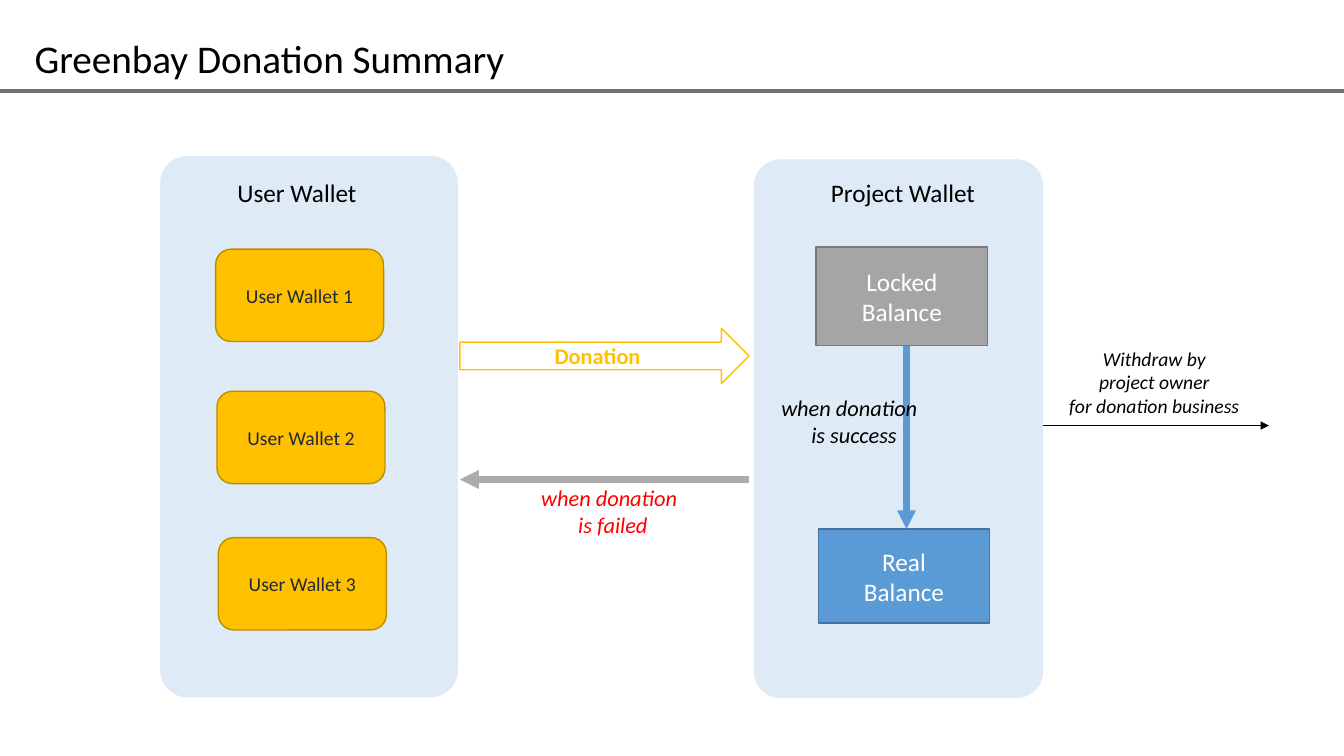
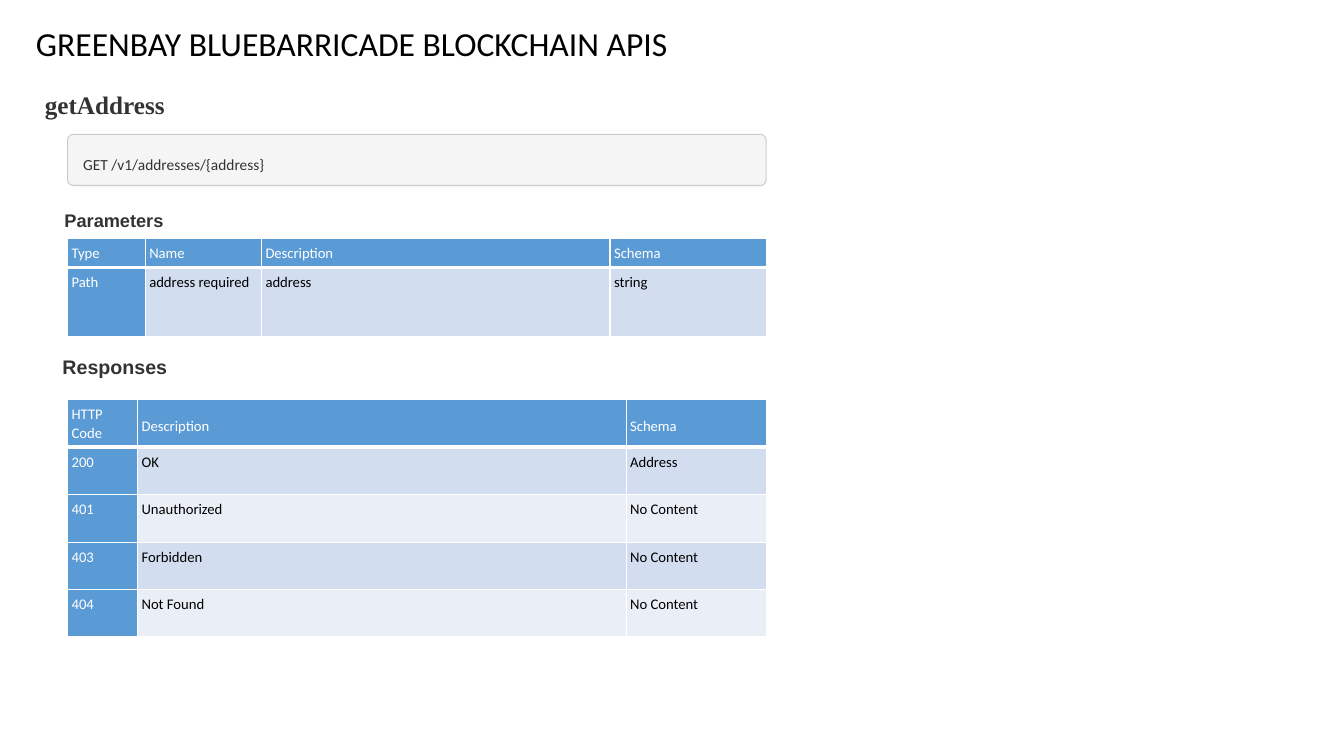
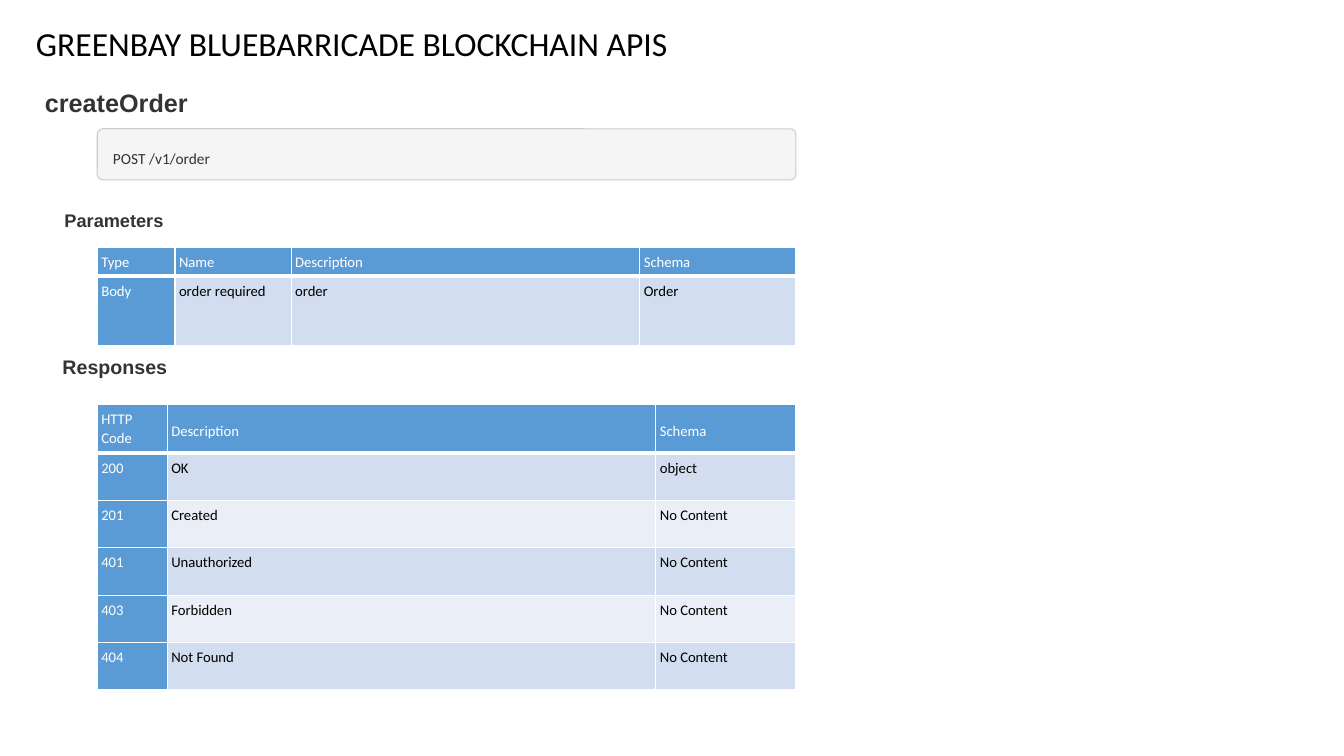
from pptx import Presentation
from pptx.dml.color import RGBColor
from pptx.enum.shapes import MSO_CONNECTOR, MSO_SHAPE
from pptx.enum.text import MSO_ANCHOR, MSO_AUTO_SIZE, PP_ALIGN
from pptx.oxml.ns import qn
from pptx.util import Pt
from lxml import etree

LEFT, CENTER = PP_ALIGN.LEFT, PP_ALIGN.CENTER
TOP, MIDDLE = MSO_ANCHOR.TOP, MSO_ANCHOR.MIDDLE
RECT, ROUNDED = MSO_SHAPE.RECTANGLE, MSO_SHAPE.ROUNDED_RECTANGLE
RIGHT_ARROW = MSO_SHAPE.RIGHT_ARROW
STRAIGHT = MSO_CONNECTOR.STRAIGHT
NO_FIT = MSO_AUTO_SIZE.NONE

TITLE_ONLY = 5
SLIDE_W, SLIDE_H = 960, 540
FONT = "Calibri"
COLORS = {
    "black": "000000", "white": "FFFFFF", "red": "FF0000",
    "rule": "767171", "panel": "DEEBF7", "navy": "222A35",
    "gold": "FFC000", "gold_line": "BD8E00",
    "gray": "A5A5A5", "gray_line": "7A7A7A", "gray_arrow": "AFABAB",
    "blue": "5B9BD5", "blue_line": "43739E",
    "band_dark": "D2DEEF", "band_light": "EAEFF7",
    "heading": "333333", "code_fill": "F5F5F5", "code_line": "CCCCCC",
}
API_TITLE = "GREENBAY BLUEBARRICADE BLOCKCHAIN APIS"
PARAM_HEAD = ("Type", "Name", "Description", "Schema")
PARAM_COLS = (55.5, 83, 249, 111.5)
RESPONSE_HEAD = ("HTTP Code", "Description", "Schema")
RESPONSE_COLS = (50, 349, 100)
TABLE_W = sum(RESPONSE_COLS)


def rgb(name):
    return RGBColor.from_string(COLORS[name])


# Text and shape helpers
def write(tf, lines, color, size, aligns=CENTER, anchor=TOP, wrap=True,
          spacing=None, font=FONT, **style):
    """Fill a text frame, one paragraph per line."""
    frame = {"word_wrap": wrap, "auto_size": NO_FIT, "vertical_anchor": anchor}
    for key, value in frame.items():
        setattr(tf, key, value)
    if not isinstance(aligns, tuple):
        aligns = (aligns,) * len(lines)
    for i, (line, align) in enumerate(zip(lines, aligns)):
        p = tf.paragraphs[0] if i == 0 else tf.add_paragraph()
        p.alignment = align
        if spacing:
            p.line_spacing = spacing
        r = p.add_run()
        r.text = line
        r.font.color.rgb = rgb(color)
        for key, value in {"name": font, "size": Pt(size), **style}.items():
            setattr(r.font, key, value)


def set_margins(target, left, top, right, bottom):
    margins = {"left": left, "top": top, "right": right, "bottom": bottom}
    for side, value in margins.items():
        setattr(target, f"margin_{side}", Pt(value))


def add_text(s, box, lines, color, size, **fmt):
    sp = s.shapes.add_textbox(*map(Pt, box))
    write(sp.text_frame, lines, color, size, **fmt)


def add_box(s, kind, box, fill, line, width=1, adj=None):
    sp = s.shapes.add_shape(kind, *map(Pt, box))
    sp.shadow.inherit = False
    sp.fill.solid()
    sp.fill.fore_color.rgb = rgb(fill)
    sp.line.color.rgb = rgb(line)
    sp.line.width = Pt(width)
    if adj is not None:
        sp.adjustments[0] = adj
    return sp


def add_line(s, start, end, color, width, arrow=True):
    line = s.shapes.add_connector(STRAIGHT, *map(Pt, (*start, *end)))
    line.line.color.rgb = rgb(color)
    line.line.width = Pt(width)
    sp_pr = line._element.spPr
    if arrow:
        etree.SubElement(sp_pr.find(qn("a:ln")), qn("a:tailEnd"), type="triangle")
    etree.SubElement(sp_pr, qn("a:effectLst"))


def add_titled_slide(prs, title, box, size):
    s = prs.slides.add_slide(prs.slide_layouts[TITLE_ONLY])
    sp = s.shapes.title
    sp.left, sp.top, sp.width, sp.height = map(Pt, box)
    write(sp.text_frame, [title], "black", size, aligns=LEFT, wrap=False)
    return s


# Donation summary regions
def add_panel(s, box, label, label_dy, label_w):
    x, y, _, _ = box
    add_box(s, ROUNDED, box, "panel", "panel", 0.25, adj=0.092)
    add_text(s, (x + 48, y + label_dy, label_w, 29), [label], "black", 18,
             aligns=LEFT, wrap=False)


def add_user_panel(s, box):
    x, y, _, _ = box
    add_panel(s, box, "User Wallet", 11.5, 100)
    for i, dy in enumerate((66.5, 168, 272.5)):
        sp = add_box(s, ROUNDED, (x + 39.5 + i, y + dy, 120, 66),
                     "gold", "gold_line")
        write(sp.text_frame, [f"User Wallet {i + 1}"], "navy", 14, anchor=MIDDLE)


def add_project_panel(s, box):
    x, y, _, _ = box
    add_panel(s, box, "Project Wallet", 9, 118)
    balances = (("Locked", 44.5, 62.5, 70.5, "gray"),
                ("Real", 46, 264, 67, "blue"))
    for state, dx, dy, h, color in balances:
        sp = add_box(s, RECT, (x + dx, y + dy, 122.5, h), color, f"{color}_line")
        write(sp.text_frame, [state, "Balance"], "white", 18, anchor=MIDDLE)
    add_line(s, (x + 109, y + 133), (x + 109, y + 264), "blue", 4.5)
    add_text(s, (x + 12.5, y + 164, 118, 46), ["when donation", "is success"],
             "black", 16, aligns=(LEFT, CENTER), italic=True)


def add_donation_flows(s, box):
    """Donation arrow and refund arrow between the two panels."""
    x, y, w, h = box
    sp = add_box(s, RIGHT_ARROW, (x, y, w, 39.5), "white", "gold")
    write(sp.text_frame, ["Donation"], "gold", 16, anchor=MIDDLE, bold=True)
    refund_y = y + h - 46
    add_line(s, (x + w, refund_y), (x, refund_y), "gray_arrow", 4.5)
    add_text(s, (x + 51, refund_y, 116.5, 46), ["when donation", "is failed"],
             "red", 16, aligns=(LEFT, CENTER), wrap=False, italic=True)


def add_withdrawal(s, box):
    x, y, w, h = box
    add_line(s, (x, y + h), (x + w, y + h), "black", 1)
    add_text(s, (x, y, 159, 58),
             ["Withdraw by", "project owner", "for donation business"],
             "black", 14, italic=True)


def add_summary_slide(prs):
    s = add_titled_slide(prs, "Greenbay Donation Summary",
                         (17.5, 21, 353.5, 41), 28)
    add_line(s, (0, 65), (SLIDE_W, 65), "rule", 2.25, arrow=False)
    add_user_panel(s, (114.5, 111.5, 212.5, 386.5))
    add_project_panel(s, (538.5, 114, 206.5, 384.5))
    add_donation_flows(s, (328.5, 234.5, 206.5, 154))
    add_withdrawal(s, (745, 244, 161.5, 60))


# API reference regions
def add_borders(cell, bottom):
    tc_pr = cell._tc.get_or_add_tcPr()
    for side, width in (("L", 1), ("R", 1), ("T", 1), ("B", bottom)):
        ln = etree.SubElement(tc_pr, qn(f"a:ln{side}"), w=str(Pt(width)))
        fill = etree.SubElement(ln, qn("a:solidFill"))
        etree.SubElement(fill, qn("a:srgbClr"), val=COLORS["white"])


def add_api_table(s, x, y, cols, heights, rows, head_anchor=TOP):
    """Table with a blue header row and first column, and banded rows."""
    frame = s.shapes.add_table(len(rows), len(cols), Pt(x), Pt(y),
                               Pt(sum(cols)), Pt(sum(heights)))
    table = frame.table
    for column, width in zip(table.columns, cols):
        column.width = Pt(width)
    for i, (row, height, values) in enumerate(zip(table.rows, heights, rows)):
        row.height = Pt(height)
        for j, (cell, value) in enumerate(zip(row.cells, values)):
            is_head = i == 0 or j == 0
            band = "band_dark" if i % 2 else "band_light"
            add_borders(cell, 3 if i == 0 else 1)
            cell.fill.solid()
            cell.fill.fore_color.rgb = rgb("blue" if is_head else band)
            set_margins(cell, 2.9, 3.6, 5.8, 0)
            write(cell.text_frame, [value], "white" if is_head else "black",
                  10.5, aligns=LEFT, spacing=1.07, bold=False)
            cell.vertical_anchor = head_anchor if i == 0 and j else TOP


def add_endpoint(s, box, request):
    sp = add_box(s, ROUNDED, box, "code_fill", "code_line", 0.75, adj=0.11)
    set_margins(sp.text_frame, 10, 12.5, 0, 0)
    write(sp.text_frame, [request], "heading", 11, aligns=LEFT, spacing=1.07)


def add_heading(s, box, text, size, **fmt):
    add_text(s, box, [text], "heading", size, aligns=LEFT, bold=True, **fmt)


def add_api_slide(prs, name, name_fmt, request, left, tops, param, responses):
    s = add_titled_slide(prs, API_TITLE, (18.5, 13, 469.5, 36), 24)
    endpoint_y, params_y, responses_y = tops
    add_heading(s, (25, 58.5, 216, 29), name, 18, **name_fmt)
    add_endpoint(s, (left, endpoint_y, TABLE_W, 36.5), request)

    add_heading(s, (39, 146, 417.5, 23), "Parameters", 13, font="Arial",
                anchor=MIDDLE)
    add_api_table(s, left, params_y, PARAM_COLS, (20.5, 49.5),
                  [PARAM_HEAD, param])

    add_heading(s, (37.5, 249, 90, 25), "Responses", 14, font="Arial",
                wrap=False, spacing=1.07)
    add_api_table(s, left, responses_y, RESPONSE_COLS,
                  [34.5] + [33.9] * len(responses),
                  [RESPONSE_HEAD, *responses], head_anchor=MIDDLE)


def main():
    prs = Presentation()
    prs.slide_width, prs.slide_height = Pt(SLIDE_W), Pt(SLIDE_H)
    errors = [("401", "Unauthorized", "No Content"),
              ("403", "Forbidden", "No Content"),
              ("404", "Not Found", "No Content")]

    add_summary_slide(prs)
    add_api_slide(prs, "getAddress", {"font": "Times New Roman", "spacing": 1.07},
                  "GET /v1/addresses/{address}", 48.3, (96, 170.5, 285),
                  ("Path", "address required", "address", "string"),
                  [("200", "OK", "Address"), *errors])
    add_api_slide(prs, "createOrder", {"font": "Arial"},
                  "POST /v1/order", 69.5, (92, 176.5, 289),
                  ("Body", "order required", "order", "Order"),
                  [("200", "OK", "object"), ("201", "Created", "No Content"),
                   *errors])
    prs.save("out.pptx")


if __name__ == "__main__":
    main()
